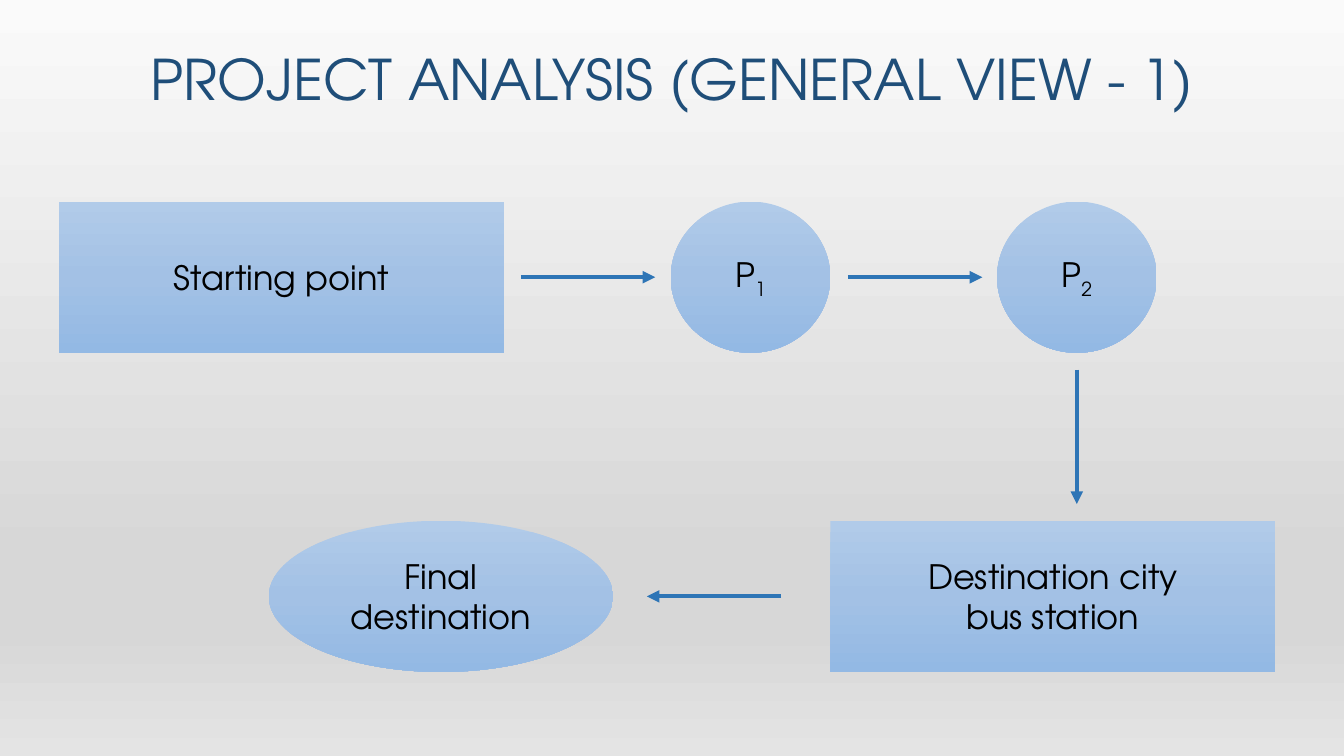
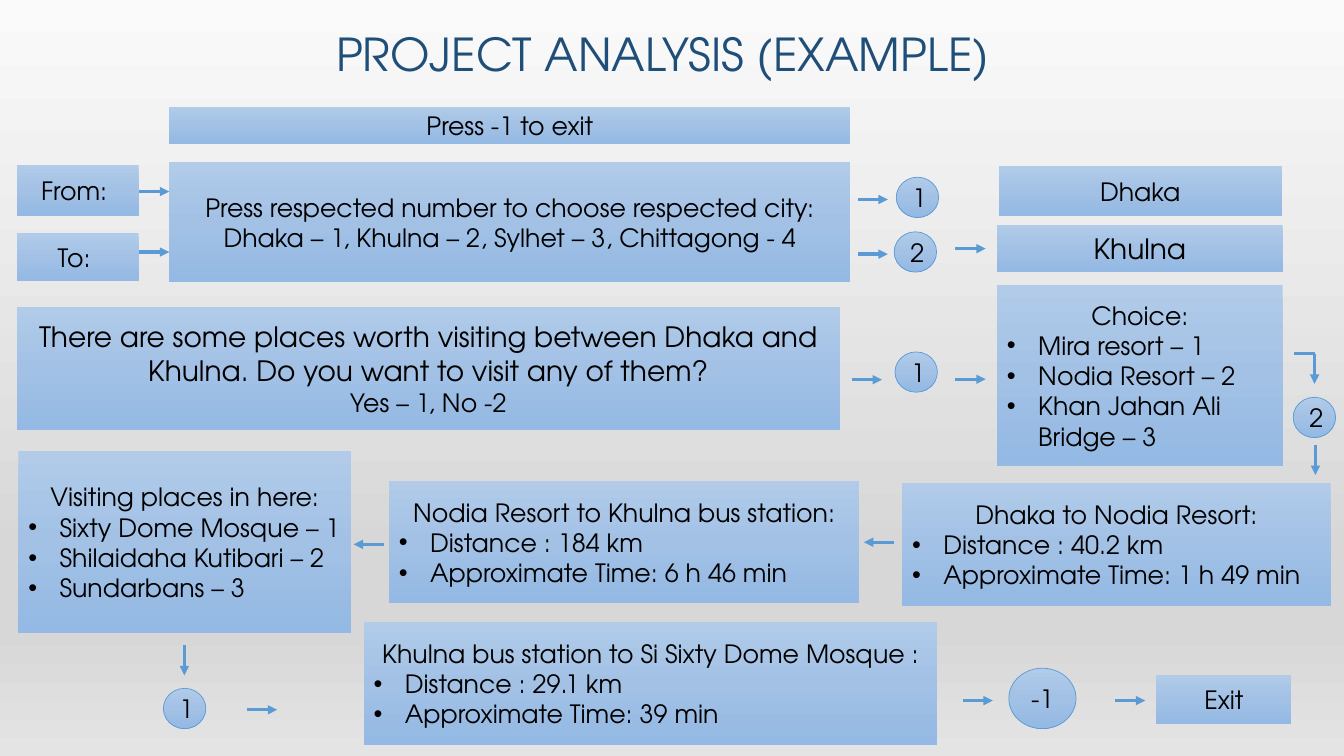
from dataclasses import dataclass
from enum import Enum

from lxml import etree
from pptx import Presentation
from pptx import util as u
from pptx.dml.color import RGBColor
from pptx.enum import shapes, text
from pptx.oxml.ns import qn

COLUMNS, ROWS = 160, 90
CELL = u.Inches(1) // 12
BLANK_LAYOUT = 6


@dataclass(frozen=True)
class Theme:
    font: str = "TeX Gyre Adventor"
    title_color: str = "1F4E79"
    text_color: str = "000000"
    outline: str = "5B9BD5"
    outline_width: float = 0.5
    backdrop: tuple = ((0, "FAFAFA"), (74, "D7D7D7"), (83, "D7D7D7"), (100, "E4E4E4"))
    node_fill: tuple = ((0, "B1CBE9"), (50, "A3C1E5"), (100, "93B9E4"))
    title_spacing: float = 0.9
    large: float = 24
    medium: float = 20
    small: float = 18
    bullet_indent: float = 0.31


THEME = Theme()


class Form(Enum):
    RECTANGLE = shapes.MSO_SHAPE.RECTANGLE
    OVAL = shapes.MSO_SHAPE.OVAL


class Heading(Enum):
    RIGHT = (1, 0)
    LEFT = (-1, 0)
    DOWN = (0, 1)


@dataclass(frozen=True)
class Area:
    column: float
    row: float
    columns: float
    rows: float


@dataclass(frozen=True)
class Line:
    text: str
    size: float = THEME.small
    subscript: str = ""
    bullet: bool = False


@dataclass(frozen=True)
class Node:
    area: Area
    lines: tuple[Line, ...]
    form: Form = Form.RECTANGLE
    outlined: bool = False


@dataclass(frozen=True)
class Arrow:
    column: float
    row: float
    heading: Heading = Heading.RIGHT
    length: float = 3.6
    pointed: bool = True


@dataclass(frozen=True)
class Stroke:
    color: str
    width: float


@dataclass(frozen=True)
class Diagram:
    title: str
    title_area: Area
    title_size: float
    nodes: tuple[Node, ...]
    arrows: tuple[Arrow, ...]
    stroke: Stroke


def label(area: Area, words: str, size: float = THEME.small) -> Node:
    return Node(area, (Line(words, size),))


def choice(column: float, row: float, number: str,
           columns: float = 5.05, rows: float = 4.8) -> Node:
    return Node(Area(column, row, columns, rows), (Line(number),), Form.OVAL, True)


def stop(column: float, number: str) -> Node:
    return Node(Area(column, 24, 19, 18), (Line("P", THEME.large, number),), Form.OVAL)


def listing(area: Area, heading: str, *items: str) -> Node:
    return Node(area, (Line(heading), *(Line(item, bullet=True) for item in items)))


def trip(column: float, row: float, columns: float,
         route: str, distance: str, time: str) -> Node:
    return listing(Area(column, row, columns, 14.6), route,
                   f"Distance : {distance}", f"Approximate Time: {time}")


GENERAL_VIEW = Diagram(
    title="PROJECT ANALYSIS (GENERAL VIEW - 1)",
    title_area=Area(16, 4, 128, 10),
    title_size=40,
    nodes=(
        label(Area(7, 24, 53, 18), "Starting point", THEME.large),
        stop(79.85, "1"),
        stop(118.7, "2"),
        Node(Area(98.85, 62, 53, 18),
             (Line("Destination city", THEME.large), Line("bus station", THEME.large))),
        Node(Area(32, 62, 41, 18), (Line("Final destination", THEME.large),), Form.OVAL),
    ),
    arrows=(
        Arrow(62, 33, length=16),
        Arrow(100.95, 33, length=16),
        Arrow(128.2, 44, Heading.DOWN, 16),
        Arrow(93, 71, Heading.LEFT, 16),
    ),
    stroke=Stroke("2E75B6", 3),
)

EXAMPLE = Diagram(
    title="PROJECT ANALYSIS (EXAMPLE)",
    title_area=Area(34.9, 2.5, 88, 7.8),
    title_size=32.4,
    nodes=(
        label(Area(20.15, 12.7, 81.1, 4.45), "Press -1 to exit"),
        label(Area(2, 19.7, 14.5, 6), "From: "),
        label(Area(2, 27.8, 14.5, 5.65), "To: "),
        Node(Area(20.15, 19.3, 81.1, 14.3),
             (Line("Press respected number to choose respected city:"),
              Line("Dhaka – 1, Khulna – 2, Sylhet – 3, Chittagong - 4"))),
        choice(106.7, 21.1, "1"),
        choice(106.45, 27.6, "2"),
        label(Area(118.9, 19.8, 33.7, 5.9), "Dhaka"),
        label(Area(118.7, 26.75, 34, 5.65), "Khulna", THEME.medium),
        Node(Area(2, 36.5, 98, 14.75),
             (Line("There are some places worth visiting between Dhaka and Khulna. "
                   "Do you want to visit any of them?", THEME.medium),
              Line("Yes – 1, No -2"))),
        choice(106.55, 41.9, "1"),
        listing(Area(118.7, 33.9, 34, 21.6), "Choice:", "Mira resort – 1",
                "Nodia Resort – 2", "Khan Jahan Ali Bridge – 3"),
        choice(153.95, 47.3, "2"),
        trip(107.4, 57.5, 51, "Dhaka to Nodia Resort:", "40.2 km", "1 h 49 min"),
        trip(46.3, 57.25, 56, "Nodia Resort to Khulna bus station:",
             "184 km", "6 h 46 min"),
        listing(Area(2.2, 53.75, 39.6, 21.6), "Visiting places in here:",
                "Sixty Dome Mosque – 1", "Shilaidaha Kutibari – 2", "Sundarbans – 3"),
        choice(19.45, 81.95, "1"),
        trip(43.3, 74.05, 68.3, "Khulna bus station to Si Sixty Dome Mosque :",
             "29.1 km", "39 min"),
        choice(120.1, 79.55, "-1", 8, 7.2),
        label(Area(137.65, 80.3, 16.1, 5.9), "Exit"),
    ),
    arrows=(
        Arrow(16.55, 22.8),
        Arrow(16.55, 30),
        Arrow(102.1, 23.75),
        Arrow(102.1, 30.25),
        Arrow(113.75, 29.6),
        Arrow(101.4, 45.2),
        Arrow(113.75, 45.15),
        Arrow(154.1, 42.1, length=2.5, pointed=False),
        Arrow(156.5, 42.1, Heading.DOWN),
        Arrow(156.6, 52.95, Heading.DOWN),
        Arrow(106.45, 64.55, Heading.LEFT),
        Arrow(45.7, 64.8, Heading.LEFT),
        Arrow(21.95, 76.8, Heading.DOWN),
        Arrow(29.4, 84.5),
        Arrow(114.6, 83.4),
        Arrow(132.75, 83.4),
    ),
    stroke=Stroke("5B9BD5", 2.25),
)


def cells(*counts: float) -> list[int]:
    return [round(count * CELL) for count in counts]


def place(area: Area) -> list[int]:
    return cells(area.column, area.row, area.columns, area.rows)


def fill_downward(fill, element, stops: tuple) -> None:
    fill.gradient()
    fill.gradient_angle = 270
    stop_list = next(element.iter(qn("a:gsLst")))
    for old in list(stop_list):
        stop_list.remove(old)
    for percent, color in stops:
        mark = etree.SubElement(stop_list, qn("a:gs"), pos=str(percent * 1000))
        etree.SubElement(mark, qn("a:srgbClr"), val=color)


def add_span(para, words: str, size: float, color: str):
    span = para.add_run()
    span.text = words
    span.font.name = THEME.font
    span.font.size = u.Pt(size)
    span.font.color.rgb = RGBColor.from_string(color)
    return span


def add_bullet(para) -> None:
    indent = u.Inches(THEME.bullet_indent)
    properties = para._p.get_or_add_pPr()
    properties.set("marL", str(indent))
    properties.set("indent", str(-indent))
    etree.SubElement(properties, qn("a:buFont"), typeface="Arial")
    etree.SubElement(properties, qn("a:buChar"), char="•")


def write_line(para, line: Line) -> None:
    para.alignment = text.PP_ALIGN.LEFT if line.bullet else text.PP_ALIGN.CENTER
    if line.bullet:
        add_bullet(para)
    add_span(para, line.text, line.size, THEME.text_color)
    if line.subscript:
        span = add_span(para, line.subscript, line.size, THEME.text_color)
        span._r.get_or_add_rPr().set("baseline", "-25000")


def draw_title(page, diagram: Diagram) -> None:
    box = page.shapes.add_textbox(*place(diagram.title_area))
    frame = box.text_frame
    frame.word_wrap = True
    frame.vertical_anchor = text.MSO_ANCHOR.BOTTOM
    para = frame.paragraphs[0]
    para.alignment = text.PP_ALIGN.CENTER
    para.line_spacing = THEME.title_spacing
    add_span(para, diagram.title, diagram.title_size, THEME.title_color)


def draw_node(page, node: Node) -> None:
    box = page.shapes.add_shape(node.form.value, *place(node.area))
    box.shadow.inherit = False
    fill_downward(box.fill, box.element, THEME.node_fill)
    if node.outlined:
        box.line.color.rgb = RGBColor.from_string(THEME.outline)
        box.line.width = u.Pt(THEME.outline_width)
    else:
        box.line.fill.background()
    frame = box.text_frame
    frame.word_wrap = True
    frame.vertical_anchor = text.MSO_ANCHOR.MIDDLE
    for index, line in enumerate(node.lines):
        para = frame.add_paragraph() if index else frame.paragraphs[0]
        write_line(para, line)


def draw_arrow(page, arrow: Arrow, stroke: Stroke) -> None:
    across, down = arrow.heading.value
    ends = cells(arrow.column, arrow.row,
                 arrow.column + across * arrow.length, arrow.row + down * arrow.length)
    connector = page.shapes.add_connector(shapes.MSO_CONNECTOR.STRAIGHT, *ends)
    connector.line.color.rgb = RGBColor.from_string(stroke.color)
    connector.line.width = u.Pt(stroke.width)
    properties = connector.element.spPr
    if arrow.pointed:
        etree.SubElement(properties.find(qn("a:ln")), qn("a:tailEnd"), type="triangle")
    etree.SubElement(properties, qn("a:effectLst"))


def draw_diagram(deck, diagram: Diagram) -> None:
    page = deck.slides.add_slide(deck.slide_layouts[BLANK_LAYOUT])
    draw_title(page, diagram)
    for node in diagram.nodes:
        draw_node(page, node)
    for arrow in diagram.arrows:
        draw_arrow(page, arrow, diagram.stroke)


def main() -> None:
    deck = Presentation()
    deck.slide_width, deck.slide_height = cells(COLUMNS, ROWS)
    master = deck.slide_master
    fill_downward(master.background.fill, master.element, THEME.backdrop)
    for diagram in (GENERAL_VIEW, EXAMPLE):
        draw_diagram(deck, diagram)
    deck.save("out.pptx")


if __name__ == "__main__":
    main()
